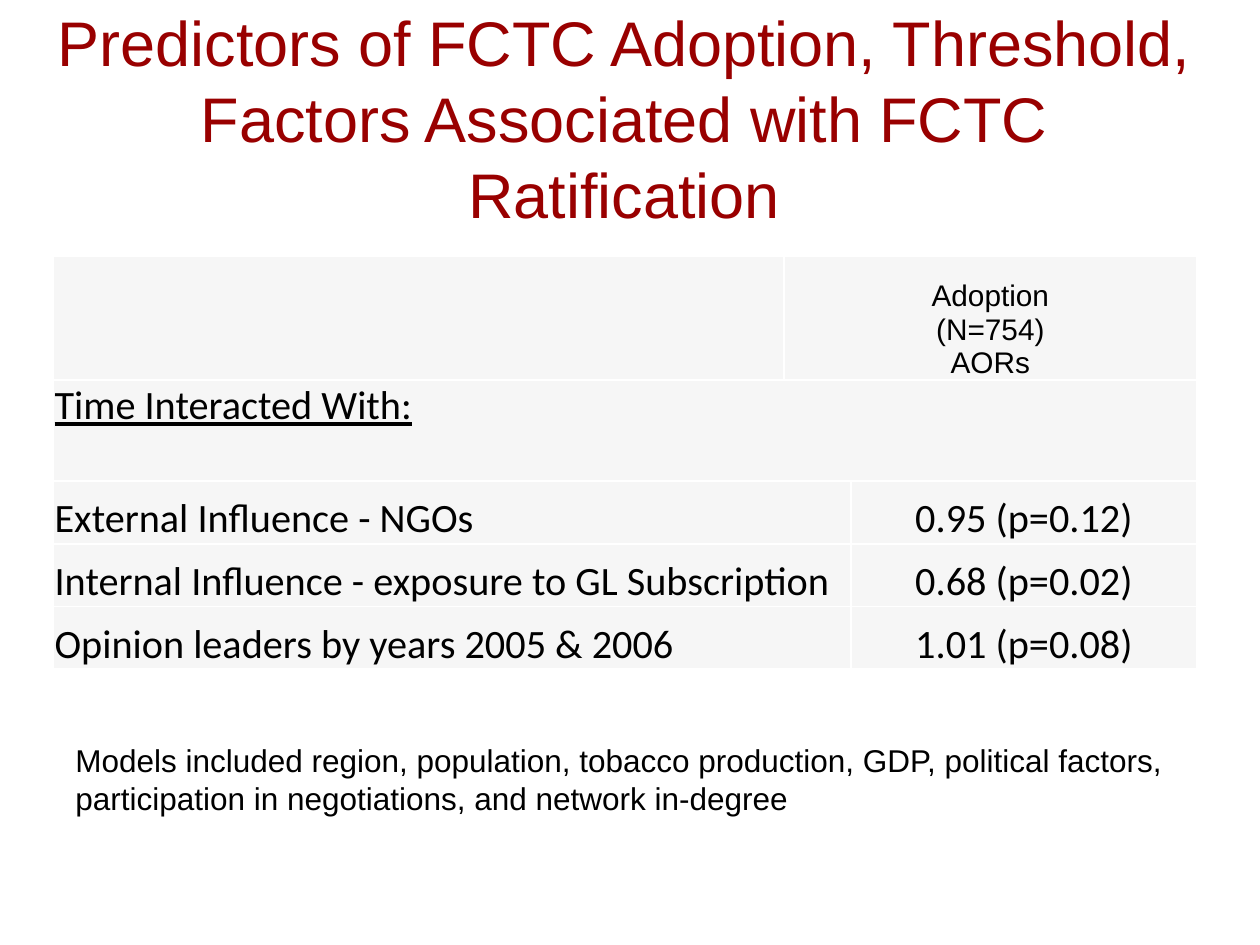
from lxml.etree import SubElement
from pptx import Presentation
from pptx.dml.color import RGBColor
from pptx.enum.text import MSO_ANCHOR as Anchor, PP_ALIGN as Align
from pptx.oxml.ns import qn
from pptx.util import Cm, Pt

TITLE = "Predictors of FCTC Adoption, Threshold, Factors Associated with FCTC Ratification"
HEADER = ["Adoption", "(N=754)", "AORs"]
SECTION = "Time Interacted With:"
RESULTS = [
    ("External Influence - NGOs", "0.95 (p=0.12)"),
    ("Internal Influence - exposure to GL Subscription", "0.68 (p=0.02)"),
    ("Opinion leaders by years 2005 & 2006", "1.01 (p=0.08)"),
]
NOTE = [
    "Models included region, population, tobacco production, GDP, political factors,",
    "participation in negotiations, and network in-degree",
]


def color(value):
    return RGBColor.from_string(value)


def write(frame, lines, size, font_name, font_color="000000", align=Align.LEFT):
    frame.text = "\n".join(lines)
    for paragraph in frame.paragraphs:
        paragraph.alignment = align
        font = paragraph.font
        font.size, font.name = Pt(size), font_name
        font.color.rgb = color(font_color)


def add_title(slide, left, top, width, height):
    title = slide.shapes.title
    title.left, title.top, title.width, title.height = left, top, width, height
    frame = title.text_frame
    write(frame, [TITLE], 36, "Arial", "990000", Align.CENTER)
    frame.vertical_anchor = Anchor.BOTTOM
    frame.margin_bottom = 0
    frame.word_wrap = True


def style_cell(cell):
    cell.fill.solid()
    cell.fill.fore_color.rgb = color("F6F6F6")
    cell.vertical_anchor = Anchor.BOTTOM
    cell.margin_left = cell.margin_right = cell.margin_top = Cm(0.03)
    cell.margin_bottom = 0
    properties = cell._tc.get_or_add_tcPr()
    for position, side in enumerate(("lnL", "lnR", "lnT", "lnB")):
        line = SubElement(properties, qn(f"a:{side}"), w=str(Pt(1)))
        fill = SubElement(line, qn("a:solidFill"))
        SubElement(fill, qn("a:srgbClr"), val="FFFFFF")
        properties.insert(position, line)


def add_results(slide, left, top, width, height):
    column_widths = [Cm(14.73), Cm(1.36)]
    column_widths.append(width - sum(column_widths))
    row_heights = [Cm(2.5), Cm(2.04)]
    result_height = (height - sum(row_heights)) // len(RESULTS)
    row_heights += [result_height] * len(RESULTS)

    table = slide.shapes.add_table(
        len(row_heights), len(column_widths), left, top, width, height
    ).table
    table.first_row = table.horz_banding = False
    for column, column_width in zip(table.columns, column_widths):
        column.width = column_width
    for row, row_height in zip(table.rows, row_heights):
        row.height = row_height
    for cell in table.iter_cells():
        style_cell(cell)

    header = table.cell(0, 1)
    header.merge(table.cell(0, 2))
    write(header.text_frame, HEADER, 17, "Arial", align=Align.CENTER)
    first_line = header.text_frame.paragraphs[0]
    first_line._p.get_or_add_pPr().set("indent", str(-Cm(0.8)))

    section = table.cell(1, 0)
    section.merge(table.cell(1, 2))
    section.vertical_anchor = Anchor.TOP
    write(section.text_frame, [SECTION], 23, "Calibri")
    section.text_frame.paragraphs[0].font.underline = True

    for row, (label, value) in enumerate(RESULTS, start=2):
        label_cell = table.cell(row, 0)
        label_cell.merge(table.cell(row, 1))
        write(label_cell.text_frame, [label], 23, "Calibri")
        write(table.cell(row, 2).text_frame, [value], 23, "Calibri", align=Align.CENTER)


def add_note(slide, left, top, width, height):
    frame = slide.shapes.add_textbox(left, top, width, height).text_frame
    frame.word_wrap = False
    write(frame, NOTE, 18, "Arial")


def main():
    presentation = Presentation()
    presentation.slide_width, presentation.slide_height = Cm(25.4), Cm(19.05)
    slide = presentation.slides.add_slide(presentation.slide_layouts[5])
    add_title(slide, Cm(0.71), Cm(1.47), Cm(23.75), Cm(3.18))
    add_results(slide, Cm(1.07), Cm(5.16), Cm(23.06), Cm(8.33))
    add_note(slide, Cm(1.27), Cm(14.81), Cm(22.63), Cm(1.8))
    presentation.save("out.pptx")


if __name__ == "__main__":
    main()
